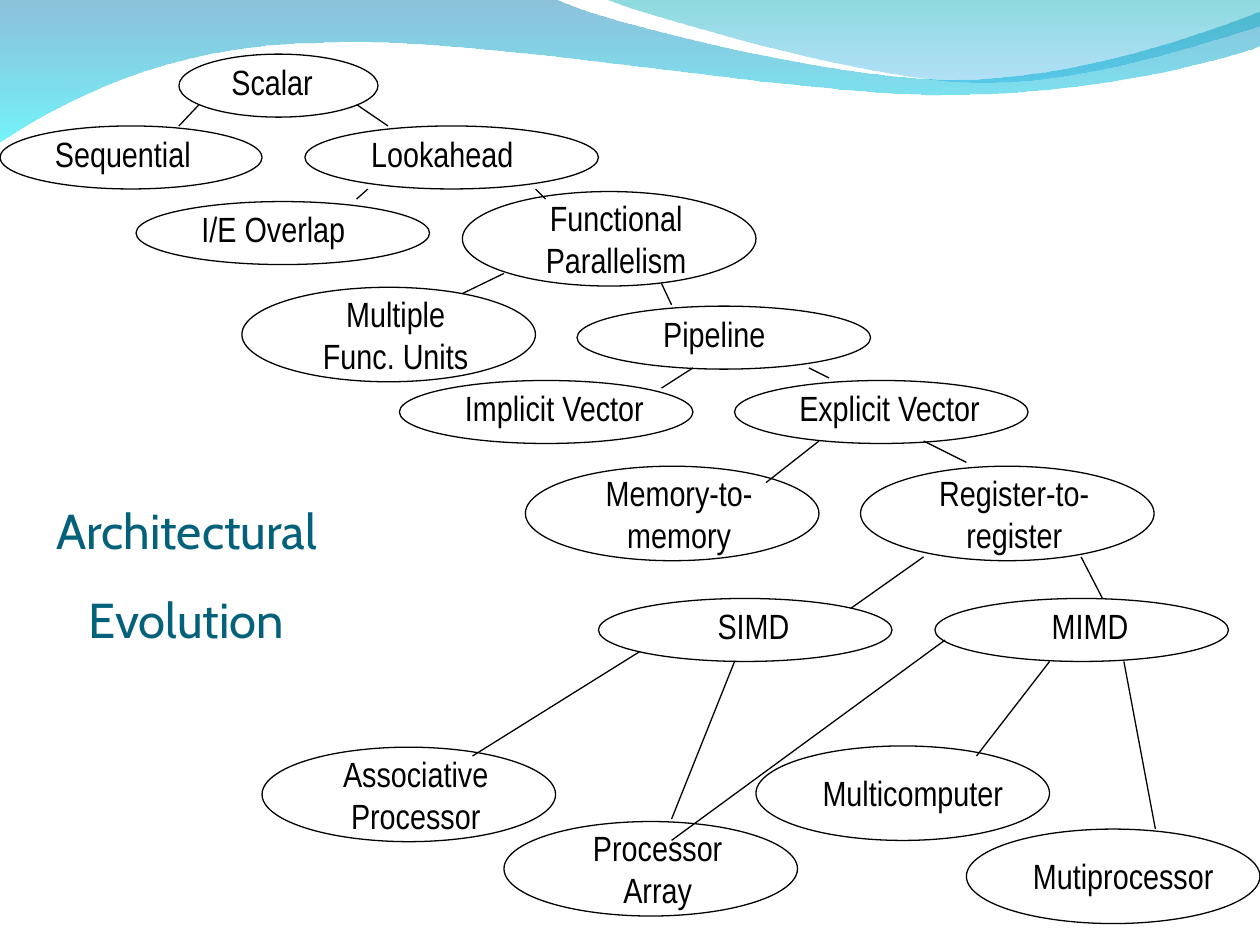
from lxml import etree
from pptx import Presentation
from pptx.dml.color import RGBColor
from pptx.enum import shapes, text
from pptx.oxml import ns
from pptx.util import Inches, Pt

BLACK = RGBColor(0x00, 0x00, 0x00)
TITLE_TEAL = RGBColor(0x04, 0x61, 0x7B)
WAVE_BLUE = RGBColor(0x00, 0x79, 0xAF)
WAVE_CYAN = RGBColor(0x00, 0xEB, 0xF8)
WAVE_TEAL = RGBColor(0x00, 0xAD, 0xB6)
WAVE_SKY = RGBColor(0x00, 0x9B, 0xE5)

TITLE_LINES = ["Architectural", "Evolution"]

# Label placement inside an oval: offset x, offset y, width, height
SMALL = (0.25, 0, 0.98, 0.44)
MEDIUM = (0.33, 0, 1.29, 0.44)
NORMAL = (0.37, 0, 1.44, 0.44)
WIDE = (0.37, 0, 1.72, 0.44)
TWO_LINE = (0.5, -0.01, 1.44, 0.77)
LOWERED = (0.33, 0.15, 1.83, 0.44)

# Oval: label, left, top, width, height, label placement
NODES = [
    ("Scalar", 1.42, 0.43, 1.58, 0.5, SMALL),
    ("Sequential", 0, 1, 2.08, 0.5, MEDIUM),
    ("Lookahead", 2.42, 1, 2.33, 0.5, NORMAL),
    ("I/E Overlap", 1.08, 1.6, 2.33, 0.5, NORMAL),
    ("Functional Parallelism", 3.67, 1.52, 2.33, 0.75, TWO_LINE),
    ("Multiple Func. Units", 1.92, 2.28, 2.33, 0.75, TWO_LINE),
    ("Pipeline", 4.58, 2.43, 2.33, 0.5, NORMAL),
    ("Implicit Vector", 3.17, 3.02, 2.33, 0.5, WIDE),
    ("Explicit Vector", 5.83, 3.02, 2.33, 0.5, WIDE),
    ("Memory-to-memory", 4.17, 3.7, 2.33, 0.75, TWO_LINE),
    ("Register-to-register", 6.83, 3.7, 2.33, 0.75, TWO_LINE),
    ("SIMD", 4.75, 4.75, 2.33, 0.5, WIDE),
    ("MIMD", 7.42, 4.75, 2.33, 0.5, WIDE),
    ("Associative Processor", 2.08, 5.93, 2.33, 0.75, TWO_LINE),
    ("Processor Array", 4, 6.52, 2.33, 0.75, TWO_LINE),
    ("Multicomputer", 6, 5.92, 2.33, 0.75, LOWERED),
    ("Mutiprocessor", 7.67, 6.58, 2.33, 0.75, LOWERED),
]

# Branch: start x, start y, end x, end y
BRANCHES = [
    (1.58, 0.83, 1.42, 1), (2.83, 0.83, 3.08, 1),
    (2.92, 1.5, 2.83, 1.58), (4.25, 1.5, 4.33, 1.58),
    (5.25, 2.25, 5.33, 2.42), (4, 2.17, 3.67, 2.33),
    (5.5, 2.92, 5.25, 3.08), (6.42, 2.92, 6.58, 3),
    (6.5, 3.5, 6.08, 3.83), (7.33, 3.5, 7.67, 3.67),
    (7.33, 4.42, 6.75, 4.83), (8.58, 4.42, 8.75, 4.75),
    (5.08, 5.17, 3.75, 6), (5.83, 5.25, 5.33, 6.5),
    (7.5, 5.08, 5.33, 6.67), (8.33, 5.25, 7.75, 6),
    (8.92, 5.25, 9.17, 6.58),
]

# Wave: outline (1 point = line, 3 points = Bezier curve), (colour, opacity %) stops
WAVES = [
    ([[(0, -0.01)], [(4.4, -0.01)],
      [(4.76, 0.17), (6.64, 0.63), (7.58, 0.63)],
      [(8.53, 0.63), (9.58, 0.26), (10, 0.09)],
      [(10.01, 0.36)],
      [(9.83, 0.44), (8.7, 0.76), (7.46, 0.75)],
      [(6.22, 0.75), (3.82, 0.28), (2.57, 0.34)],
      [(1.29, 0.35), (0.46, 0.83), (-0.01, 1.13)]],
     [(WAVE_BLUE, 45), (WAVE_CYAN, 55)]),
    ([[(4.79, -0.01)],
      [(5.09, 0.11), (6.82, 0.62), (7.69, 0.65)],
      [(8.56, 0.69), (9.61, 0.32), (10, 0.21)],
      [(10, 0)]],
     [(WAVE_TEAL, 45), (WAVE_SKY, 30)]),
]
UNITS_PER_INCH = 1000


def bend(wave, outline):
    """Merge the lines through each curve's control points into one curve."""
    lines = iter(list(wave.element.spPr.iter(ns.qn("a:lnTo"))))
    for segment in outline[1:]:
        parts = [next(lines) for _ in segment]
        if len(parts) == 3:
            curve = etree.Element(ns.qn("a:cubicBezTo"))
            parts[0].addprevious(curve)
            for part in parts:
                curve.append(part[0])
                part.getparent().remove(part)


def add_wave(page, outline, stops):
    points = [(round(x * UNITS_PER_INCH), round(y * UNITS_PER_INCH))
              for segment in outline for x, y in segment]
    builder = page.shapes.build_freeform(*points[0],
                                         scale=Inches(1) / UNITS_PER_INCH)
    builder.add_line_segments(points[1:], close=True)
    wave = builder.convert_to_shape()
    bend(wave, outline)
    wave.shadow.inherit = False
    wave.line.fill.background()
    wave.fill.gradient()
    wave.fill.gradient_angle = 270
    for stop, (colour, _) in zip(wave.fill.gradient_stops, stops):
        stop.color.rgb = colour
    colours = wave.element.spPr.iter(ns.qn("a:srgbClr"))
    for colour, (_, opacity) in zip(colours, stops):
        etree.SubElement(colour, ns.qn("a:alpha")).set("val", str(opacity * 1000))


def add_span(para, words, font, size, colour):
    para.alignment = text.PP_ALIGN.CENTER
    span = para.add_run()
    span.text = words
    span.font.name = font
    span.font.size = Pt(size)
    span.font.color.rgb = colour


def add_node(tree, label, left, top, width, height, placement):
    oval = tree.shapes.add_shape(shapes.MSO_SHAPE.OVAL, Inches(left), Inches(top),
                                 Inches(width), Inches(height))
    oval.shadow.inherit = False
    oval.fill.background()
    oval.line.color.rgb = BLACK
    oval.line.width = Pt(0.75)
    dx, dy, label_width, label_height = placement
    box = tree.shapes.add_textbox(Inches(left + dx), Inches(top + dy),
                                  Inches(label_width), Inches(label_height))
    box.text_frame.word_wrap = True
    add_span(box.text_frame.paragraphs[0], label, "Arial Narrow", 20, BLACK)


def add_branch(tree, *ends):
    branch = tree.shapes.add_connector(shapes.MSO_CONNECTOR.STRAIGHT,
                                       *[Inches(end) for end in ends])
    branch.line.color.rgb = BLACK
    branch.line.width = Pt(0.75)
    etree.SubElement(branch._element.spPr, ns.qn("a:effectLst"))


def add_title(page):
    title = page.shapes.title
    title.left, title.top = Inches(0.21), Inches(3.92)
    title.width, title.height = Inches(2.54), Inches(1.28)
    frame = title.text_frame
    frame.word_wrap = False
    frame.auto_size = text.MSO_AUTO_SIZE.NONE
    frame.vertical_anchor = text.MSO_ANCHOR.TOP
    for index, line in enumerate(TITLE_LINES):
        para = frame.add_paragraph() if index else frame.paragraphs[0]
        para.space_before = Pt(17.5)
        add_span(para, line, "Cabin", 28, TITLE_TEAL)


def main():
    deck = Presentation()
    deck.slide_width, deck.slide_height = Inches(10), Inches(7.5)
    page = deck.slides.add_slide(deck.slide_layouts[5])

    # Decorative waves along the top
    for wave in WAVES:
        add_wave(page, *wave)

    # Architecture tree
    tree = page.shapes.add_group_shape()
    for node in NODES:
        add_node(tree, *node)
    for branch in BRANCHES:
        add_branch(tree, *branch)

    add_title(page)
    deck.save("out.pptx")


if __name__ == "__main__":
    main()
